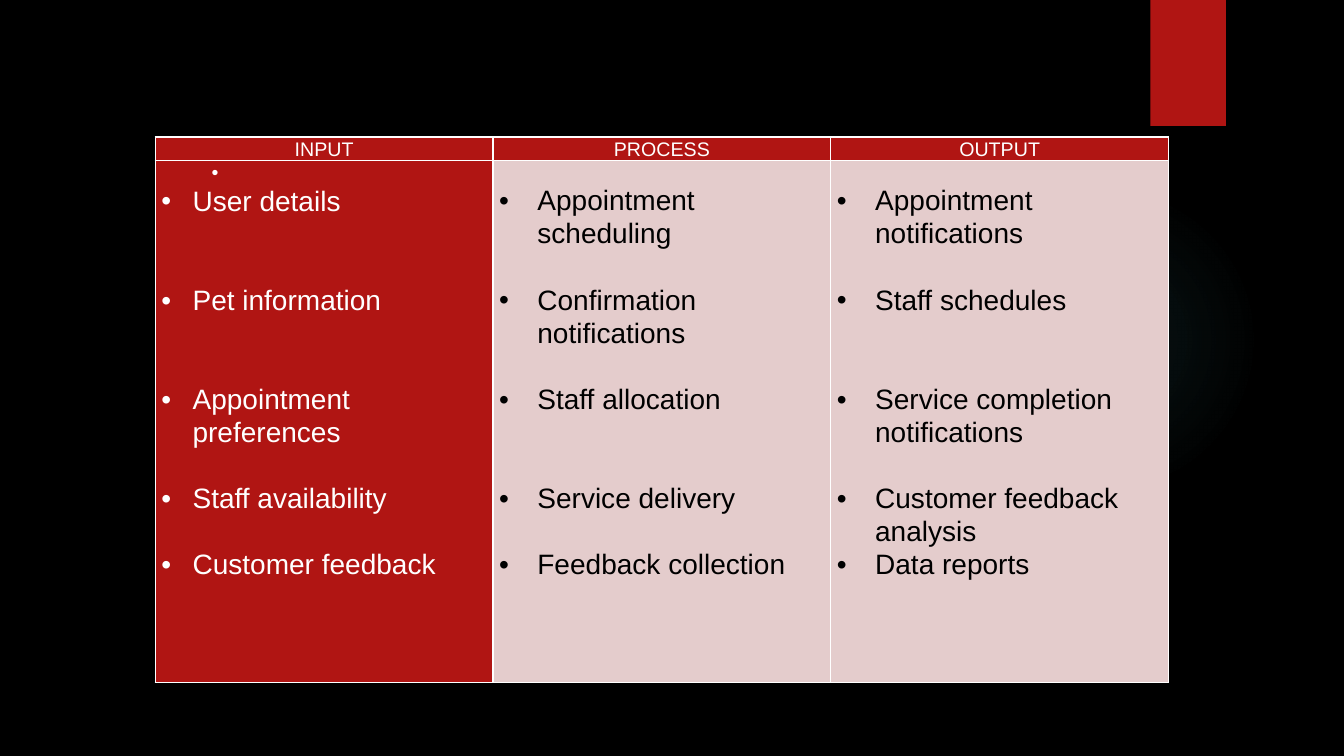
from lxml import etree
from pptx import Presentation
from pptx.dml.color import RGBColor
from pptx.enum.shapes import MSO_SHAPE
from pptx.enum.text import PP_ALIGN
from pptx.oxml.ns import qn
from pptx.util import Inches, Pt

RECTANGLE = MSO_SHAPE.RECTANGLE
OVAL = MSO_SHAPE.OVAL
CENTER = PP_ALIGN.CENTER
LEFT = PP_ALIGN.LEFT

BLACK = "000000"
WHITE = "FFFFFF"
RED = "B01513"
PINK = "E4CCCC"
TEAL = "50B9C1"
LINE_PITCH = 23.6

# Each item: text, number of empty lines above it
COLUMNS = [
    ("INPUT", RED, WHITE, 0.31, [
        ("User details", 0), ("Pet information", 2), ("Appointment preferences", 2),
        ("Staff availability", 1), ("Customer feedback", 1)]),
    ("PROCESS", PINK, BLACK, 0.38, [
        ("Appointment scheduling", 0), ("Confirmation notifications", 1),
        ("Staff allocation", 1), ("Service delivery", 2), ("Feedback collection", 1)]),
    ("OUTPUT", PINK, BLACK, 0.38, [
        ("Appointment notifications", 0), ("Staff schedules", 1),
        ("Service completion notifications", 2), ("Customer feedback analysis", 1),
        ("Data reports", 0)]),
]


def rgb(value):
    return RGBColor.from_string(value)


def add_element(parent, tag, **attributes):
    element = etree.SubElement(parent, qn(tag))
    for name, value in attributes.items():
        element.set(name, str(value))
    return element


def write(text_frame, text, size=20, color=WHITE, align=LEFT, hanging=0, indent=0,
          space_before=0):
    """Fill the first empty paragraph or add one; a hanging indent brings a bullet."""
    paragraph = text_frame.paragraphs[0]
    if paragraph.runs:
        paragraph = text_frame.add_paragraph()
    paragraph.alignment = align
    paragraph.line_spacing = 1.06
    paragraph.space_before = Pt(space_before)
    run = paragraph.add_run()
    run.text = text
    run.font.name = "Arial"
    run.font.size = Pt(size)
    run.font.color.rgb = rgb(color)
    if hanging:
        properties = paragraph._p.get_or_add_pPr()
        properties.set("marL", str(Inches(indent + hanging)))
        properties.set("indent", str(-Inches(hanging)))
        add_element(properties, "a:buFont", typeface="Arial")
        add_element(properties, "a:buChar", char="•")


class SlideBuilder:
    def __init__(self, slide, border=WHITE, background=BLACK):
        self.slide = slide
        self.border = border
        slide.background.fill.solid()
        slide.background.fill.fore_color.rgb = rgb(background)

    def shape(self, kind, left, top, width, height, color):
        shape = self.slide.shapes.add_shape(
            kind, Inches(left), Inches(top), Inches(width), Inches(height))
        shape.shadow.inherit = False
        shape.line.fill.background()
        shape.fill.solid()
        shape.fill.fore_color.rgb = rgb(color)
        return shape

    def glow(self, left, top, size, color, stops):
        """Draw a circle that fades outwards; stops are (position, opacity) in percent."""
        circle = self.shape(OVAL, left, top, size, size, color)
        properties = circle._element.spPr
        solid = properties.find(qn("a:solidFill"))
        gradient = etree.Element(qn("a:gradFill"))
        stop_list = add_element(gradient, "a:gsLst")
        for position, opacity in stops:
            stop = add_element(stop_list, "a:gs", pos=position * 1000)
            stop_color = add_element(stop, "a:srgbClr", val=color)
            add_element(stop_color, "a:alpha", val=opacity * 1000)
        center = add_element(gradient, "a:path", path="circle")
        add_element(center, "a:fillToRect", l=50000, t=50000, r=50000, b=50000)
        properties.replace(solid, gradient)

    def table(self, left, top, column_width, row_heights, column_count):
        frame = self.slide.shapes.add_table(
            len(row_heights), column_count, Inches(left), Inches(top),
            Inches(column_width * column_count), Inches(sum(row_heights)))
        table = frame.table
        table.first_row = False
        table.horz_banding = False
        for column in table.columns:
            column.width = Inches(column_width)
        for row, height in zip(table.rows, row_heights):
            row.height = Inches(height)
        return table

    def cell(self, cell, fill, margin_top=0):
        """Style a table cell and return its text frame."""
        cell.margin_left = cell.margin_right = Inches(0.06)
        cell.margin_top = Inches(margin_top)
        cell.margin_bottom = 0
        properties = cell._tc.get_or_add_tcPr()
        for side in ("a:lnL", "a:lnR", "a:lnT", "a:lnB"):
            line = add_element(properties, side, w=Pt(1))
            add_element(add_element(line, "a:solidFill"), "a:srgbClr", val=self.border)
        cell.fill.solid()
        cell.fill.fore_color.rgb = rgb(fill)
        return cell.text_frame


def main():
    presentation = Presentation()
    presentation.slide_width = Inches(13.33)
    presentation.slide_height = Inches(7.5)
    builder = SlideBuilder(presentation.slides.add_slide(presentation.slide_layouts[6]))

    builder.glow(9.41, 1.83, 3.08, TEAL, [(0, 7), (36, 6), (69, 0)])
    builder.shape(RECTANGLE, 11.41, 0, 0.75, 1.25, RED)

    table = builder.table(1.54, 1.36, 3.35, [0.23, 5.18], len(COLUMNS))
    for index, (heading, fill, color, hanging, items) in enumerate(COLUMNS):
        header = builder.cell(table.cell(0, index), RED)
        write(header, heading, size=14, align=CENTER)
        is_input = index == 0
        body = builder.cell(table.cell(1, index), fill, margin_top=0 if is_input else 0.23)
        if is_input:
            write(body, " ", size=14, hanging=hanging, indent=0.5)
        for text, empty_lines in items:
            write(body, text, color=color, hanging=hanging,
                  space_before=empty_lines * LINE_PITCH)

    presentation.save("out.pptx")


if __name__ == "__main__":
    main()
